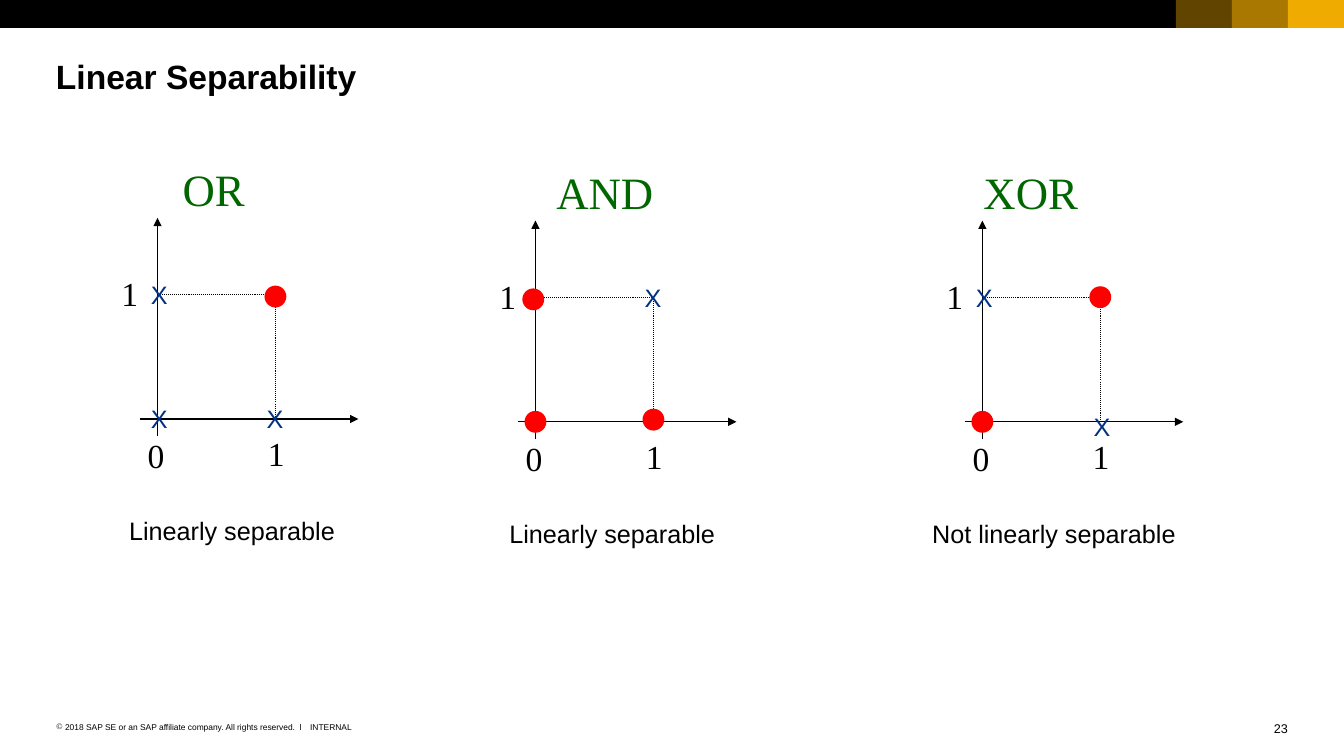
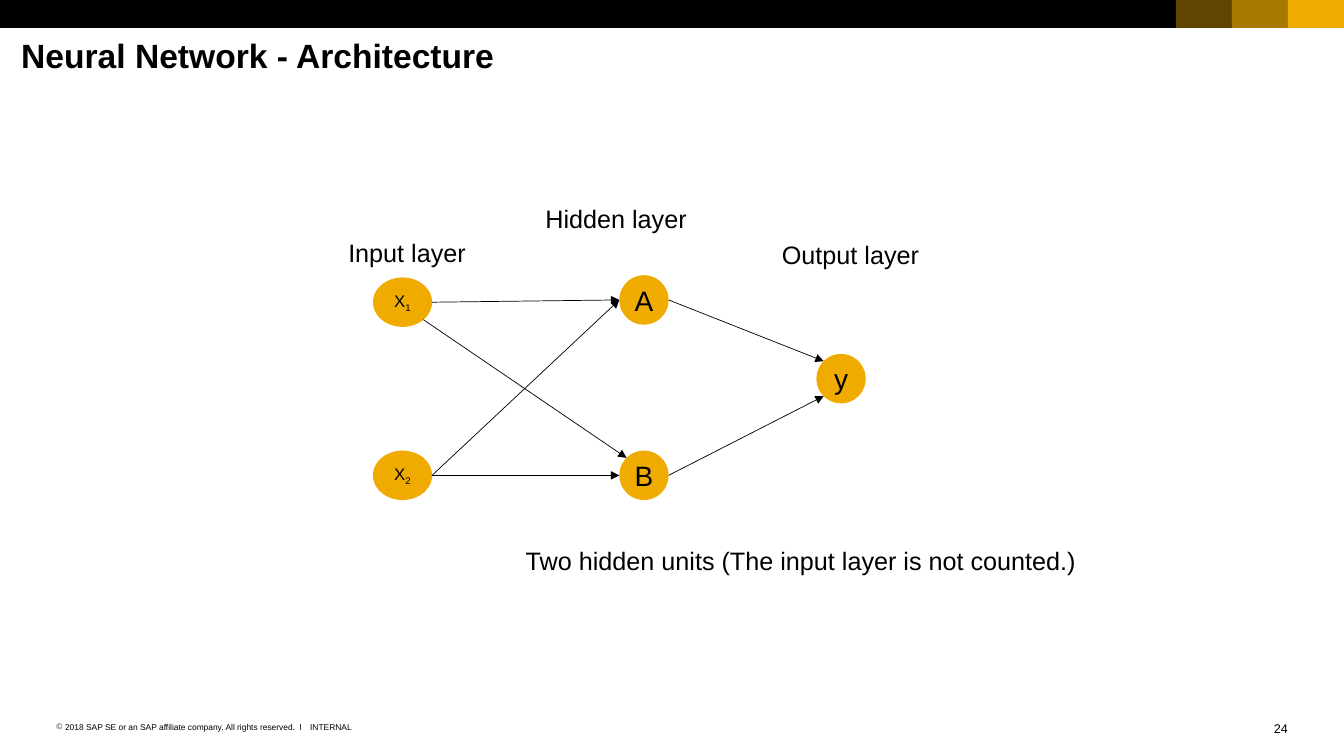
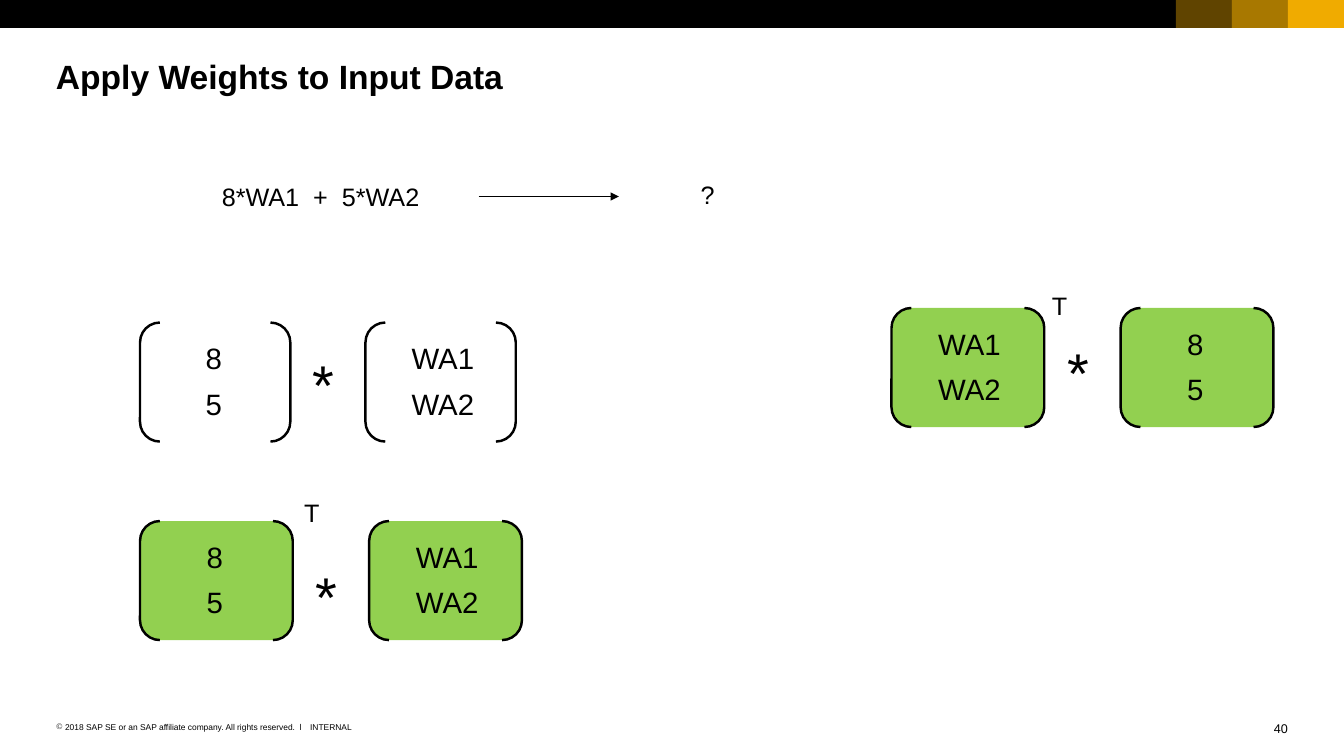
from collections import namedtuple
from math import cos, radians, sin

from pptx import Presentation
from pptx.dml.color import RGBColor
from pptx.enum.dml import MSO_LINE
from pptx.enum.shapes import MSO_CONNECTOR, MSO_SHAPE
from pptx.enum.text import MSO_ANCHOR, PP_ALIGN
from pptx.oxml.ns import qn
from pptx.oxml.xmlchemy import OxmlElement
from pptx.util import Inches, Pt

BLACK = RGBColor(0x00, 0x00, 0x00)
GOLD = RGBColor(0xF0, 0xAB, 0x00)
RED = RGBColor(0xFF, 0x00, 0x00)
NAVY = RGBColor(0x00, 0x32, 0x83)
DARK_GREEN = RGBColor(0x00, 0x66, 0x00)
LIME = RGBColor(0x92, 0xD0, 0x50)

SANS, SERIF = "Arial", "Times New Roman"
WIDTH, HEIGHT = Inches(13.34), Inches(7.5)
COLS, ROWS = 24, 27
COL, ROW = WIDTH / COLS, HEIGHT / ROWS
NO_GRID = "{2D5ABB26-0587-4C30-8999-92F81FD0307C}"
PADDED = (0.1, 0.05)

Box = namedtuple("Box", "x y w h")
NUMBERS = (("8", "5"), 0.37)
WEIGHTS = (("WA1", "WA2"), 0.24)


def inside(box, x, y, w=0, h=0):
    """Return the part of a box given by shares of its size."""
    return Box(box.x + x * box.w, box.y + y * box.h, w * box.w, h * box.h)


def emu(box):
    """Turn grid columns and rows into slide lengths."""
    return int(box.x * COL), int(box.y * ROW), int(box.w * COL), int(box.h * ROW)


def child(parent, tag, **attrs):
    """Append an XML element with attributes."""
    el = OxmlElement(tag)
    for name, value in attrs.items():
        el.set(name, value)
    parent.append(el)
    return el


def write(tf, text, size=18, font=SANS, color=BLACK, bold=False,
          align=PP_ALIGN.LEFT, inset=(0, 0), sub="", bullet=""):
    """Fill a text frame with one formatted paragraph."""
    tf.word_wrap = True
    tf.margin_left = tf.margin_right = Inches(inset[0])
    tf.margin_top = tf.margin_bottom = Inches(inset[1])
    p = tf.paragraphs[0]
    p.alignment = align
    if bullet:
        pPr = p._p.get_or_add_pPr()
        pPr.set("marL", str(Inches(0.09)))
        pPr.set("indent", str(-Inches(0.09)))
        child(pPr, "a:buChar", char=bullet)
    for part in filter(None, (text, sub)):
        r = p.add_run()
        r.text = part
        r.font.size, r.font.name, r.font.bold = Pt(size), font, bold
        r.font.color.rgb = color
    if sub:
        r._r.get_or_add_rPr().set("baseline", "-25000")


def label(s, box, text, **fmt):
    """Add a text box."""
    write(s.shapes.add_textbox(*emu(box)).text_frame, text, **fmt)


def shape(s, kind, box, fill=None, line=None, alpha=None):
    """Add a flat preset shape, its line given as a width in points."""
    sp = s.shapes.add_shape(kind, *emu(box))
    sp.shadow.inherit = False
    if fill is None:
        sp.fill.background()
    else:
        sp.fill.solid()
        sp.fill.fore_color.rgb = fill
    if alpha:
        clr = sp._element.spPr.find(qn("a:solidFill"))[0]
        child(clr, "a:alpha", val=str(alpha * 1000))
    if line:
        sp.line.color.rgb, sp.line.width = BLACK, Pt(line)
    else:
        sp.line.fill.background()
    return sp


def arrow(s, start, end, width=0.5):
    """Draw a straight arrow between two grid points."""
    (x1, y1, *_), (x2, y2, *_) = emu(start), emu(end)
    cx = s.shapes.add_connector(MSO_CONNECTOR.STRAIGHT, x1, y1, x2, y2)
    cx.line.color.rgb, cx.line.width = BLACK, Pt(width)
    child(cx.line._get_or_add_ln(), "a:tailEnd", type="triangle")
    child(cx._element.spPr, "a:effectLst")


def new_slide(prs, title, number, box=Box(1, 1.98, 22, 1.44)):
    """Add a slide with top band, title and footer."""
    s = prs.slides.add_slide(prs.slide_layouts[6])
    shape(s, MSO_SHAPE.RECTANGLE, Box(0, 0, COLS, 1), BLACK)
    for i, alpha in enumerate((40, 70, None)):
        shape(s, MSO_SHAPE.RECTANGLE, Box(COLS - 3 + i, 0, 1, 1), GOLD, alpha=alpha)
    label(s, box, title, size=24, bold=True)
    label(s, Box(1, 25.8, 4.5, 0.36),
          "2018 SAP SE or an SAP affiliate company. All rights reserved.  ǀ",
          size=6, bullet="©")
    label(s, Box(5.54, 25.8, 1, 0.36), "INTERNAL", size=6)
    label(s, Box(22, 25.74, 1, 0.54), str(number), size=9, align=PP_ALIGN.RIGHT)
    return s


def plot(s, box, name, name_x, caption, caption_x, dots, crosses):
    """Draw the axes, unit square and marks of a logic function."""
    arrow(s, inside(box, 0, 0.92), inside(box, 1, 0.92), 0.75)
    arrow(s, inside(box, 0.08, 1), inside(box, 0.08, 0), 0.75)
    square = shape(s, MSO_SHAPE.RECTANGLE, inside(box, 0.08, 0.35, 0.54, 0.57), line=0.75)
    square.line.dash_style = MSO_LINE.ROUND_DOT
    for tick, x, y in (("0", -0.01, 0.97), ("1", 0.54, 0.96), ("1", -0.13, 0.23)):
        label(s, inside(box, x, y, 0.17, 0.24), tick, size=24, font=SERIF, inset=PADDED)
    label(s, inside(box, name_x, -0.28, 0.6, 0.29), name, size=32, font=SERIF,
          color=DARK_GREEN, inset=PADDED)
    for x, y in dots:
        shape(s, MSO_SHAPE.FLOWCHART_CONNECTOR, inside(box, x - 0.05, y - 0.05, 0.1, 0.1), RED)
    for x, y in crosses:
        label(s, inside(box, x - 0.03, y - 0.07, 0.14, 0.14), "X", color=NAVY)
    label(s, inside(box, caption_x, 1.36, 1.22, 0.14), caption)


def rim(box, degrees):
    """Return the point of an ellipse at a clockwise angle from the right."""
    a = radians(degrees)
    return inside(box, 0.5 + cos(a) / 2, 0.5 + sin(a) / 2)


def network(s, box):
    """Draw the two-layer network with its labels."""
    nodes = {}
    for key, x, y, w, text, sub, size in (
            ("x1", 0, 0.01, 0.12, "X", "1", 12), ("x2", 0, 0.78, 0.12, "X", "2", 12),
            ("a", 0.5, 0, 0.1, "A", "", 20), ("b", 0.5, 0.78, 0.1, "B", "", 20),
            ("y", 0.9, 0.35, 0.1, "y", "", 20)):
        nodes[key] = inside(box, x, y, w, 0.22)
        sp = shape(s, MSO_SHAPE.FLOWCHART_CONNECTOR, nodes[key], GOLD)
        write(sp.text_frame, text, size=size, sub=sub, align=PP_ALIGN.CENTER)
        sp.text_frame.vertical_anchor = MSO_ANCHOR.MIDDLE
    for start, a1, end, a2 in (
            ("x1", 0, "a", 180), ("x2", 0, "a", 180), ("x1", 45, "b", 225),
            ("x2", 0, "b", 180), ("a", 0, "y", 225), ("b", 0, "y", 135)):
        arrow(s, rim(nodes[start], a1), rim(nodes[end], a2))
    for text, x, y, w in (
            ("Hidden layer", 0.35, -0.32, 0.4), ("Input layer", -0.05, -0.17, 0.4),
            ("Output layer", 0.83, -0.16, 0.4),
            ("Two hidden units (The input layer is not counted.)", 0.31, 1.2, 1.16)):
        label(s, inside(box, x, y, w, 0.14), text)


def matrix(s, box, values, pad, fill, span):
    """Draw a column vector as a table within brackets."""
    shape(s, MSO_SHAPE.DOUBLE_BRACKET, box, fill, 1.75)
    frame = s.shapes.add_table(len(values), 3, *emu(inside(box, pad, 0.13, span, 0.76)))
    table = frame.table
    table.first_row = table.horz_banding = False
    table._tbl.tblPr.find(qn("a:tableStyleId")).text = NO_GRID
    for cell in table.iter_cells():
        cell.fill.background()
    for i, value in enumerate(values):
        cell = table.cell(i, 0)
        write(cell.text_frame, value, size=21)
        cell.margin_left = cell.margin_right = Inches(PADDED[0])
        cell.margin_top = cell.margin_bottom = Inches(PADDED[1])


def product(s, box, left, right, star_y, fill=None, power=None, span=1.75):
    """Draw two vectors with a star between and an optional transpose mark."""
    matrix(s, inside(box, 0, 0, 0.4, 1), *left, fill, 1.75)
    matrix(s, inside(box, 0.6, 0, 0.4, 1), *right, fill, span)
    label(s, inside(box, 0.46, star_y, 0.09, 0.57), "*", size=40)
    if power:
        label(s, inside(box, *power, 0.1, 0.25), "T")


def equation(s, box):
    """Draw the weighted sum, its arrow and the unknown result."""
    label(s, inside(box, 0, 0.06, 0.41, 0.94), "8*WA1  +  5*WA2")
    arrow(s, inside(box, 0.44, 0.53), inside(box, 0.68, 0.53))
    label(s, inside(box, 0.82, 0, 0.18, 0.94), "?")


def main():
    """Build and save the deck."""
    prs = Presentation()
    prs.slide_width, prs.slide_height = WIDTH, HEIGHT

    s = new_slide(prs, "Linear Separability", 23)
    plot(s, Box(2.5, 7.78, 3.9, 7.81), "OR", 0.15, "Linearly separable", -0.05,
         [(0.62, 0.36)], [(0.08, 0.92), (0.61, 0.92), (0.08, 0.35)])
    plot(s, Box(9.25, 7.88, 3.9, 7.81), "AND", 0.13, "Linearly separable", -0.04,
         [(0.08, 0.92), (0.62, 0.91), (0.07, 0.36)], [(0.61, 0.35)])
    plot(s, Box(17.23, 7.88, 3.9, 7.81), "XOR", 0.04, "Not linearly separable", -0.15,
         [(0.08, 0.92), (0.62, 0.35)], [(0.08, 0.35), (0.62, 0.94)])

    s = new_slide(prs, "Neural Network - Architecture", 24, Box(0.38, 1.26, 23, 1.44))
    network(s, Box(6.66, 9.83, 8.8, 8.03))

    s = new_slide(prs, "Apply Weights to Input Data", 40)
    equation(s, Box(3.96, 6.41, 10.43, 1.15))
    product(s, Box(2.5, 11.52, 6.71, 4.25), NUMBERS, WEIGHTS, 0.23)
    product(s, Box(2.5, 18.61, 6.82, 4.25), NUMBERS, WEIGHTS, 0.34, LIME, (0.43, -0.2))
    product(s, Box(15.92, 11, 6.82, 4.25), WEIGHTS, NUMBERS, 0.25, LIME, (0.42, -0.15),
            span=1.05)

    prs.save("out.pptx")


if __name__ == "__main__":
    main()
